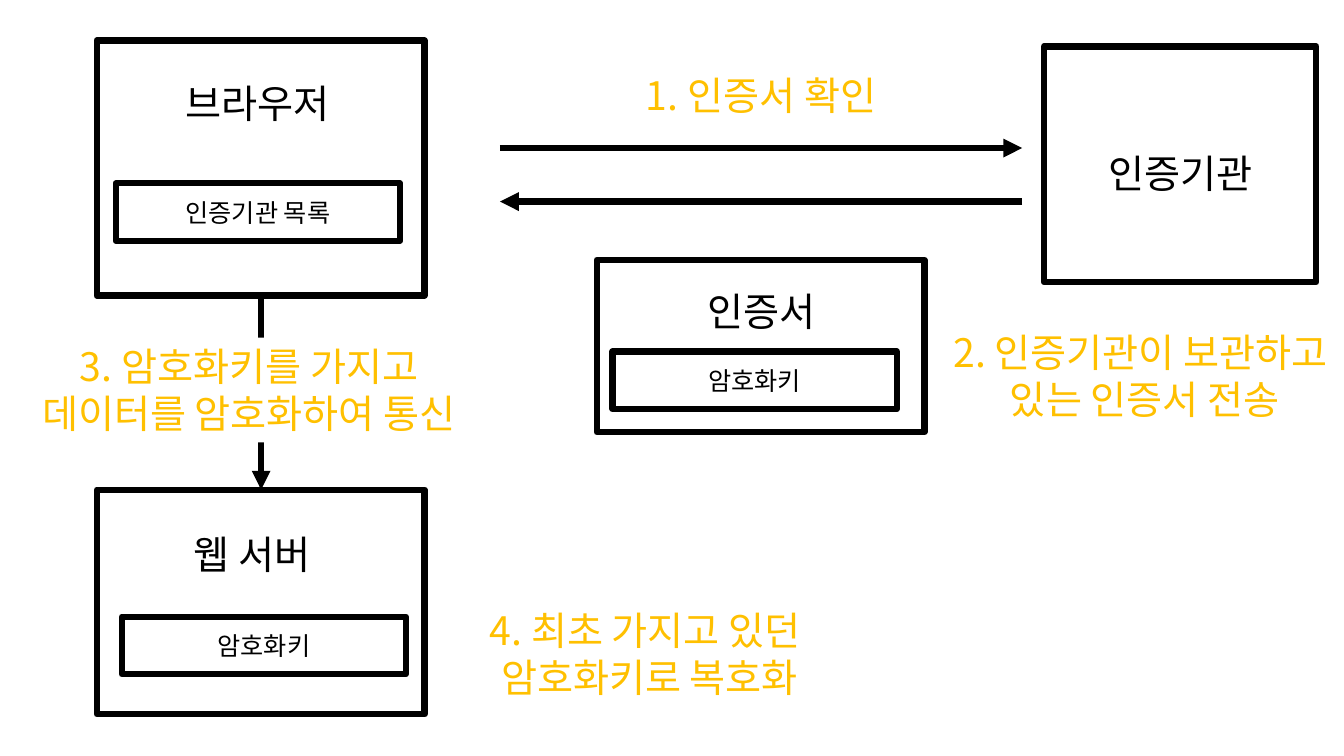
from dataclasses import dataclass

from lxml import etree
from pptx import Presentation
from pptx.dml.color import RGBColor
from pptx.enum.shapes import MSO_CONNECTOR, MSO_SHAPE
from pptx.enum.text import MSO_ANCHOR, MSO_AUTO_SIZE, PP_ALIGN
from pptx.oxml.ns import qn
from pptx.util import Cm, Pt

RECTANGLE = MSO_SHAPE.RECTANGLE
STRAIGHT = MSO_CONNECTOR.STRAIGHT
TOP, MIDDLE = MSO_ANCHOR.TOP, MSO_ANCHOR.MIDDLE
GROW, FIXED = MSO_AUTO_SIZE.SHAPE_TO_FIT_TEXT, MSO_AUTO_SIZE.NONE
CENTER = PP_ALIGN.CENTER
BLANK_LAYOUT = 6


@dataclass(frozen=True)
class Theme:
    """Colours, font and sizes of the slide."""
    ink: RGBColor = RGBColor(0x00, 0x00, 0x00)
    step: RGBColor = RGBColor(0xFF, 0xC0, 0x00)
    paper: RGBColor = RGBColor(0xFF, 0xFF, 0xFF)
    font: str = "Noto Sans CJK KR"
    large: Pt = Pt(28)
    small: Pt = Pt(18)
    stroke: Pt = Pt(4.5)


THEME = Theme()
TITLE_SIZE = (6.86, 1.45)
ITEM_SIZE = (7.16, 1.45)
STEP_SIZE = (10.24, 2.64)

# Party: box, title, title position, inner item, inner item position
PARTIES = [
    ((2.44, 1.02, 8.26, 6.43), "브라우저", (3.07, 1.88), "인증기관 목록", (2.92, 4.62)),
    ((15.04, 6.55, 8.26, 4.34), "인증서", (15.75, 7.11), "암호화키", (15.44, 8.86)),
    ((26.31, 1.17, 6.86, 5.94), "인증기관", (26.31, 3.63), None, None),
    ((2.44, 12.34, 8.26, 5.66), "웹 서버", (2.92, 13.23), "암호화키", (3.07, 15.54)),
]
# Arrow: start x, start y, end x, end y
ARROWS = [
    (12.6, 3.73, 25.76, 3.73),
    (25.76, 5.08, 12.6, 5.08),
    (6.58, 7.44, 6.58, 12.34),
]
# Step: text, frame
STEPS = [
    ("1. 인증서 확인", (15.75, 1.68, *TITLE_SIZE)),
    ("2. 인증기관이 보관하고\v 있는 인증서 전송", (23.62, 8.15, *STEP_SIZE)),
    ("4. 최초 가지고 있던 \v암호화키로 복호화", (11.25, 15.16, *STEP_SIZE)),
]
COVERING_STEP = ("3. 암호화키를 가지고 데이터를 암호화하여 통신", (0.66, 8.51, 11.23, 2.64))


def set_attributes(target, values):
    """Set each named value on the target."""
    for name, value in values.items():
        setattr(target, name, value)


def write_text(shape, text, size, color, anchor=TOP, auto_size=GROW):
    """Write one centred paragraph into a shape."""
    frame = shape.text_frame
    set_attributes(frame, {"word_wrap": True, "auto_size": auto_size,
                           "vertical_anchor": anchor})
    paragraph = frame.paragraphs[0]
    set_attributes(paragraph, {"text": text, "alignment": CENTER})
    for run in paragraph.runs:
        set_attributes(run.font, {"name": THEME.font, "size": size})
        run.font.color.rgb = color
        east_asian = etree.SubElement(run.font._element, qn("a:ea"))
        east_asian.set("typeface", THEME.font)


def add_label(slide, text, frame, color):
    """Add a large text box."""
    label = slide.shapes.add_textbox(*map(Cm, frame))
    write_text(label, text, THEME.large, color)


def add_box(slide, frame):
    """Add an unfilled rectangle with a thick outline."""
    box = slide.shapes.add_shape(RECTANGLE, *map(Cm, frame))
    box.shadow.inherit = False
    box.fill.background()
    box.line.color.rgb = THEME.ink
    box.line.width = THEME.stroke
    return box


def add_party(slide, frame, title, title_position, item, item_position):
    """Add a box with its title and, if any, the item it holds."""
    add_box(slide, frame)
    add_label(slide, title, (*title_position, *TITLE_SIZE), THEME.ink)
    if item:
        item_box = add_box(slide, (*item_position, *ITEM_SIZE))
        write_text(item_box, item, THEME.small, THEME.ink, MIDDLE, FIXED)


def add_arrow(slide, points):
    """Add a thick straight arrow."""
    arrow = slide.shapes.add_connector(STRAIGHT, *map(Cm, points))
    arrow.line.color.rgb = THEME.ink
    arrow.line.width = THEME.stroke
    outline = arrow.line._get_or_add_ln()
    etree.SubElement(outline, qn("a:tailEnd")).set("type", "triangle")
    etree.SubElement(arrow._element.spPr, qn("a:effectLst"))


def add_covering_label(slide, text, frame):
    """Add a step label whose fill interrupts the arrow behind it."""
    cover = slide.shapes.add_shape(RECTANGLE, *map(Cm, frame))
    cover.shadow.inherit = False
    cover.fill.solid()
    cover.fill.fore_color.rgb = THEME.paper
    cover.line.fill.background()
    write_text(cover, text, THEME.large, THEME.step)


def main():
    """Build the certificate exchange slide."""
    presentation = Presentation()
    set_attributes(presentation, {"slide_width": Cm(33.87), "slide_height": Cm(19.05)})
    slide = presentation.slides.add_slide(presentation.slide_layouts[BLANK_LAYOUT])
    for party in PARTIES:
        add_party(slide, *party)
    for points in ARROWS:
        add_arrow(slide, points)
    for text, frame in STEPS:
        add_label(slide, text, frame, THEME.step)
    add_covering_label(slide, *COVERING_STEP)
    presentation.save("out.pptx")


main()
